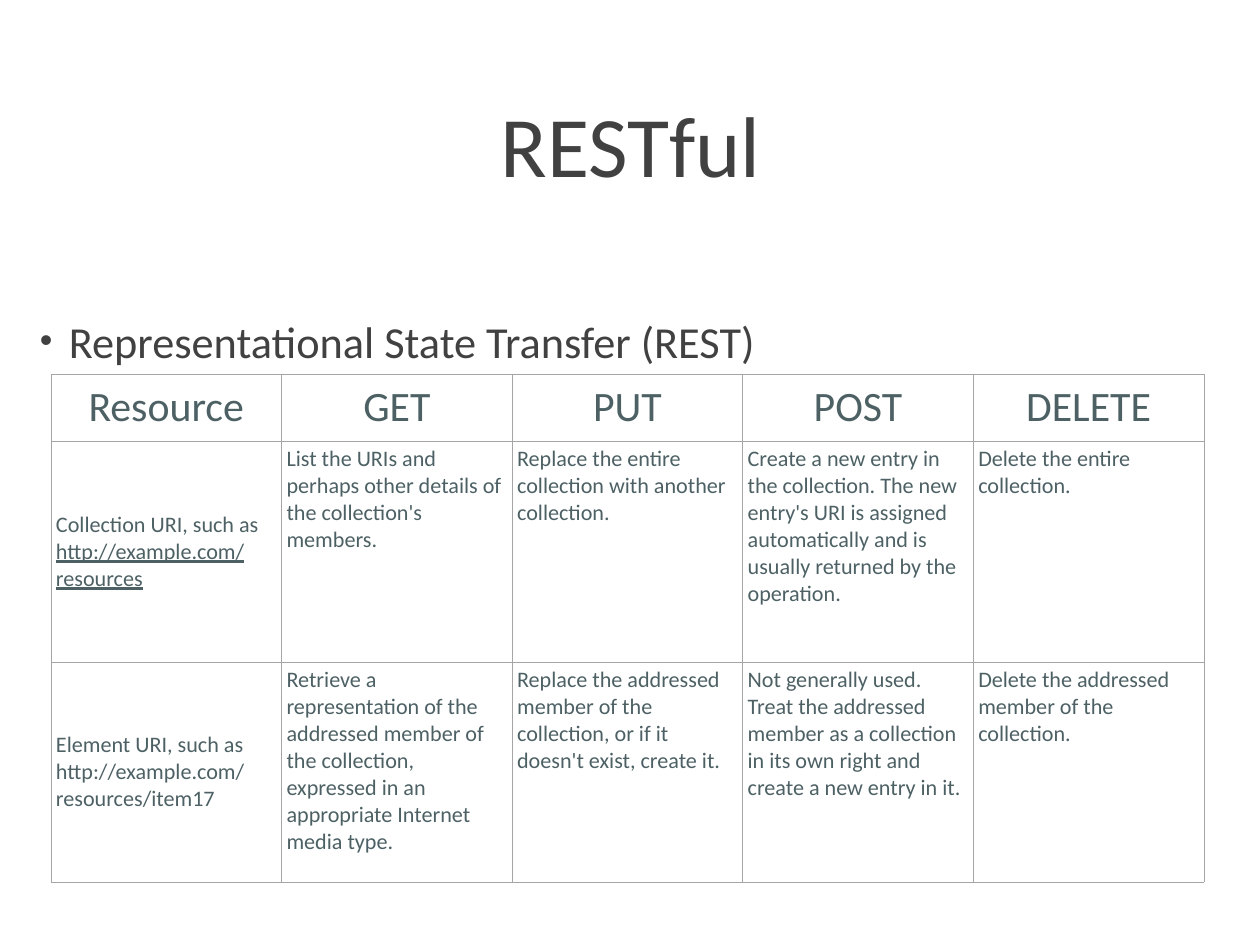
from lxml import etree
from pptx import Presentation
from pptx.dml.color import RGBColor
from pptx.enum.text import MSO_ANCHOR, MSO_AUTO_SIZE, PP_ALIGN
from pptx.oxml.ns import qn
from pptx.util import Emu, Pt

TITLE = "RESTful"
BULLET = "Representational State Transfer (REST)"
METHODS = ["Resource", "GET", "PUT", "POST", "DELETE"]
RESOURCES = [
    ["Collection URI, such as\nhttp://example.com/resources",
     "List the URIs and perhaps other details of the collection's members.",
     "Replace the entire collection with another collection.",
     "Create a new entry in the collection. The new entry's URI is assigned "
     "automatically and is usually returned by the operation.",
     "Delete the entire collection."],
    ["Element URI, such as\nhttp://example.com/resources/item17",
     "Retrieve a representation of the addressed member of the collection, "
     "expressed in an appropriate Internet media type.",
     "Replace the addressed member of the collection, or if it doesn't exist, create it.",
     "Not generally used. Treat the addressed member as a collection in its own "
     "right and create a new entry in it.",
     "Delete the addressed member of the collection."],
]

FONT = "Calibri"
DARK = RGBColor(0x41, 0x41, 0x41)
SLATE = RGBColor(0x4D, 0x61, 0x65)
BORDER = RGBColor(0xA4, 0xA5, 0xA4)
BORDER_WIDTH = Pt(0.45)
CENTER, LEFT = PP_ALIGN.CENTER, PP_ALIGN.LEFT
MIDDLE, TOP = MSO_ANCHOR.MIDDLE, MSO_ANCHOR.TOP
NO_FIT = MSO_AUTO_SIZE.NONE

SLIDE_SIZE = (1260, 945)
TITLE_BOX = (35, 25, 1191, 237)
BODY_BOX = (35, 309, 1191, 566)
TABLE_LEFT, TABLE_TOP, TABLE_WIDTH = 51, 374, 1153
ROW_HEIGHTS = [67, 221, 220]
INSET_X, INSET_Y = 5, 4
BULLET_INDENT = 29


def px(length):
    return Emu(round(length * 914400 / 88.6))


def format_paragraph(paragraph, size, color, align):
    paragraph.alignment = align
    paragraph.font.name = FONT
    paragraph.font.size = Pt(size)
    paragraph.font.color.rgb = color


def fill_placeholder(holder, box, text, size, align, anchor):
    holder.left, holder.top, holder.width, holder.height = map(px, box)
    frame = holder.text_frame
    frame.text = text
    frame.word_wrap = True
    frame.auto_size = NO_FIT
    frame.vertical_anchor = anchor
    frame.margin_left = frame.margin_right = px(INSET_X)
    frame.margin_top = frame.margin_bottom = px(INSET_X)
    paragraph = frame.paragraphs[0]
    format_paragraph(paragraph, size, DARK, align)
    paragraph.space_before = Pt(0)
    return paragraph


def set_bullet(paragraph):
    properties = paragraph._p.get_or_add_pPr()
    properties.set("marL", str(px(BULLET_INDENT)))
    properties.set("indent", str(-px(BULLET_INDENT)))
    bullet_color = etree.Element(qn("a:buClr"))
    etree.SubElement(bullet_color, qn("a:srgbClr"), val=str(DARK))
    bullet_size = etree.Element(qn("a:buSzPct"), val="81000")
    bullet_char = etree.Element(qn("a:buChar"), char="•")
    spacing = properties.find(qn("a:spcBef"))
    for element in (bullet_char, bullet_size, bullet_color):
        spacing.addnext(element)


def set_borders(cell):
    properties = cell._tc.get_or_add_tcPr()
    for side in ("lnL", "lnR", "lnT", "lnB"):
        line = etree.SubElement(properties, qn(f"a:{side}"), w=str(BORDER_WIDTH))
        fill = etree.SubElement(line, qn("a:solidFill"))
        etree.SubElement(fill, qn("a:srgbClr"), val=str(BORDER))


def fill_cell(cell, text, size, align, anchor):
    cell.text = text
    cell.vertical_anchor = anchor
    cell.margin_left = cell.margin_right = px(INSET_X)
    cell.margin_top = cell.margin_bottom = px(INSET_Y)
    set_borders(cell)
    cell.fill.background()
    for paragraph in cell.text_frame.paragraphs:
        format_paragraph(paragraph, size, SLATE, align)


def add_method_table(slide):
    rows = [METHODS] + RESOURCES
    table = slide.shapes.add_table(
        len(rows), len(METHODS), px(TABLE_LEFT), px(TABLE_TOP),
        px(TABLE_WIDTH), px(sum(ROW_HEIGHTS))).table
    table.first_row = table.horz_banding = False
    for column in table.columns:
        column.width = px(TABLE_WIDTH / len(METHODS))
    for r, (texts, height) in enumerate(zip(rows, ROW_HEIGHTS)):
        table.rows[r].height = px(height)
        for c, text in enumerate(texts):
            size, align = (34, CENTER) if r == 0 else (18, LEFT)
            anchor = MIDDLE if r == 0 or c == 0 else TOP
            fill_cell(table.cell(r, c), text, size, align, anchor)
    collection_uri = table.cell(1, 0).text_frame.paragraphs[1]
    collection_uri.runs[0].font.underline = True


def main():
    deck = Presentation()
    deck.slide_width, deck.slide_height = map(px, SLIDE_SIZE)
    slide = deck.slides.add_slide(deck.slide_layouts[1])
    fill_placeholder(slide.shapes.title, TITLE_BOX, TITLE, 70, CENTER, MIDDLE)
    set_bullet(fill_placeholder(slide.placeholders[1], BODY_BOX, BULLET, 36, LEFT, TOP))
    add_method_table(slide)
    deck.save("out.pptx")


if __name__ == "__main__":
    main()
